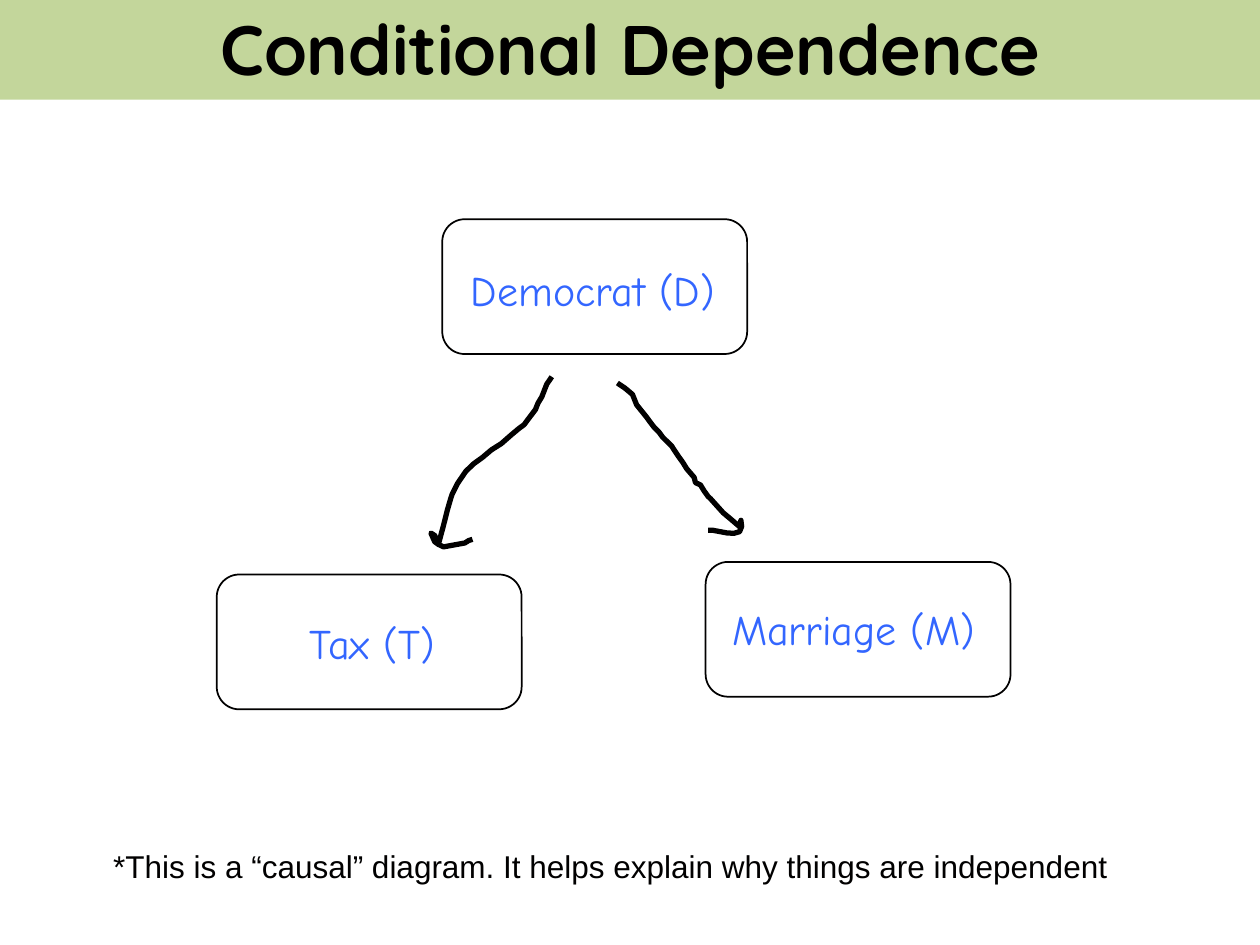
from pptx import Presentation
from pptx.dml.color import RGBColor
from pptx.enum.shapes import MSO_SHAPE
from pptx.enum.text import MSO_ANCHOR, MSO_AUTO_SIZE, PP_ALIGN
from pptx.util import Pt

INK = "010000"
NODE_SIZE = (174.24, 77.04)
LABEL_SIZE = (232.56, 36)

NODES = [
    ("Marriage (M)", (403.2, 321.12), (371.52, 341.28)),
    ("Tax (T)", (123.84, 328.32), (96.48, 349.2)),
    ("Democrat (D)", (252.72, 125.28), (222.48, 147.6)),
]

MARRIAGE_STROKE = [
    (0, 0), (4.3, 2.9), (8.6, 6.5), (11, 12.5), (16.6, 19.4), (18.7, 22.3),
    (20.9, 25.2), (23.8, 28.1), (25.9, 31), (31, 36), (32.4, 38.2),
    (35.3, 42.5), (37.4, 45.4), (39.6, 49), (43.9, 54), (44.6, 56.9),
    (47.5, 58.3), (49.7, 61.9), (51.8, 64.8), (53.3, 66.2), (60.5, 74.2),
    (64.8, 77.8), (69.8, 82.1), (70.6, 78.5), (71, 82), (69.8, 85),
    (66.5, 85.9), (62.6, 85.7), (54.7, 84.2), (51.8, 84.2),
]

TAX_STROKE = [
    (69.1, 0), (66.2, 4.3), (63.4, 11.5), (61.2, 15.1), (59.8, 18.7),
    (57.6, 21.6), (55.4, 24.5), (53.3, 27.4), (50.4, 29.5), (46.1, 33.1),
    (40.3, 38.2), (34.6, 41.8), (29.5, 46.1), (24.5, 49.7), (20, 54),
    (16.6, 59), (15.1, 61.2), (13.7, 64.1), (12.2, 67), (11.5, 69.1),
    (9.4, 76.3), (7.2, 85), (4.3, 95.8), (2.2, 94.3), (0, 89.3),
    (2.2, 90.7), (4.3, 95.8), (7.2, 97.2), (19.4, 95), (21.6, 93.6),
    (23.8, 92.9),
]


def color(value):
    return RGBColor.from_string(value)


def write(frame, text, font_name, size, ink, align, bold=False):
    frame.text = text
    paragraph = frame.paragraphs[0]
    paragraph.alignment = align
    font = paragraph.font
    font.name, font.size, font.bold = font_name, Pt(size), bold
    font.color.rgb = color(ink)


def add_title(slide, left, top, width, height):
    title = slide.shapes.title
    title.left, title.top = Pt(left), Pt(top)
    title.width, title.height = Pt(width), Pt(height)
    title.fill.solid()
    title.fill.fore_color.rgb = color("C3D69B")
    frame = title.text_frame
    frame.auto_size = MSO_AUTO_SIZE.NONE
    frame.vertical_anchor = MSO_ANCHOR.MIDDLE
    write(frame, "Conditional Dependence", "Quicksand", 40, INK,
          PP_ALIGN.CENTER, bold=True)


def add_text(slide, box, text, font_name, size, ink, align, wrap):
    frame = slide.shapes.add_textbox(*map(Pt, box)).text_frame
    frame.word_wrap = wrap
    frame.auto_size = MSO_AUTO_SIZE.SHAPE_TO_FIT_TEXT
    write(frame, text, font_name, size, ink, align)


def add_node(slide, name, corner, label_corner):
    node = slide.shapes.add_shape(
        MSO_SHAPE.ROUNDED_RECTANGLE, *map(Pt, corner + NODE_SIZE))
    node.shadow.inherit = False
    node.fill.solid()
    node.fill.fore_color.rgb = color("FFFFFF")
    node.line.color.rgb = color(INK)
    node.line.width = Pt(1)
    add_text(slide, label_corner + LABEL_SIZE, name, "Comic Neue", 24,
             "3366FF", PP_ALIGN.CENTER, True)


def add_hand_drawn_arrow(slide, left, top, stroke):
    points = [(Pt(x), Pt(y)) for x, y in stroke]
    builder = slide.shapes.build_freeform(*points[0])
    builder.add_line_segments(points[1:], close=False)
    arrow = builder.convert_to_shape(Pt(left), Pt(top))
    arrow.shadow.inherit = False
    arrow.fill.background()
    arrow.line.color.rgb = color(INK)
    arrow.line.width = Pt(3)


def main():
    deck = Presentation()
    deck.slide_width, deck.slide_height = Pt(720), Pt(540)
    slide = deck.slides.add_slide(deck.slide_layouts[5])
    add_title(slide, 0, -2.16, 720, 59.04)
    for name, corner, label_corner in NODES:
        add_node(slide, name, corner, label_corner)
    add_hand_drawn_arrow(slide, 352.8, 218.88, MARRIAGE_STROKE)
    add_hand_drawn_arrow(slide, 246.24, 215.28, TAX_STROKE)
    add_text(slide, (57.6, 480.24, 588.24, 28.8),
             "*This is a “causal” diagram. It helps explain why things are independent",
             "Arial", 18, INK, PP_ALIGN.LEFT, False)
    deck.save("out.pptx")


if __name__ == "__main__":
    main()
